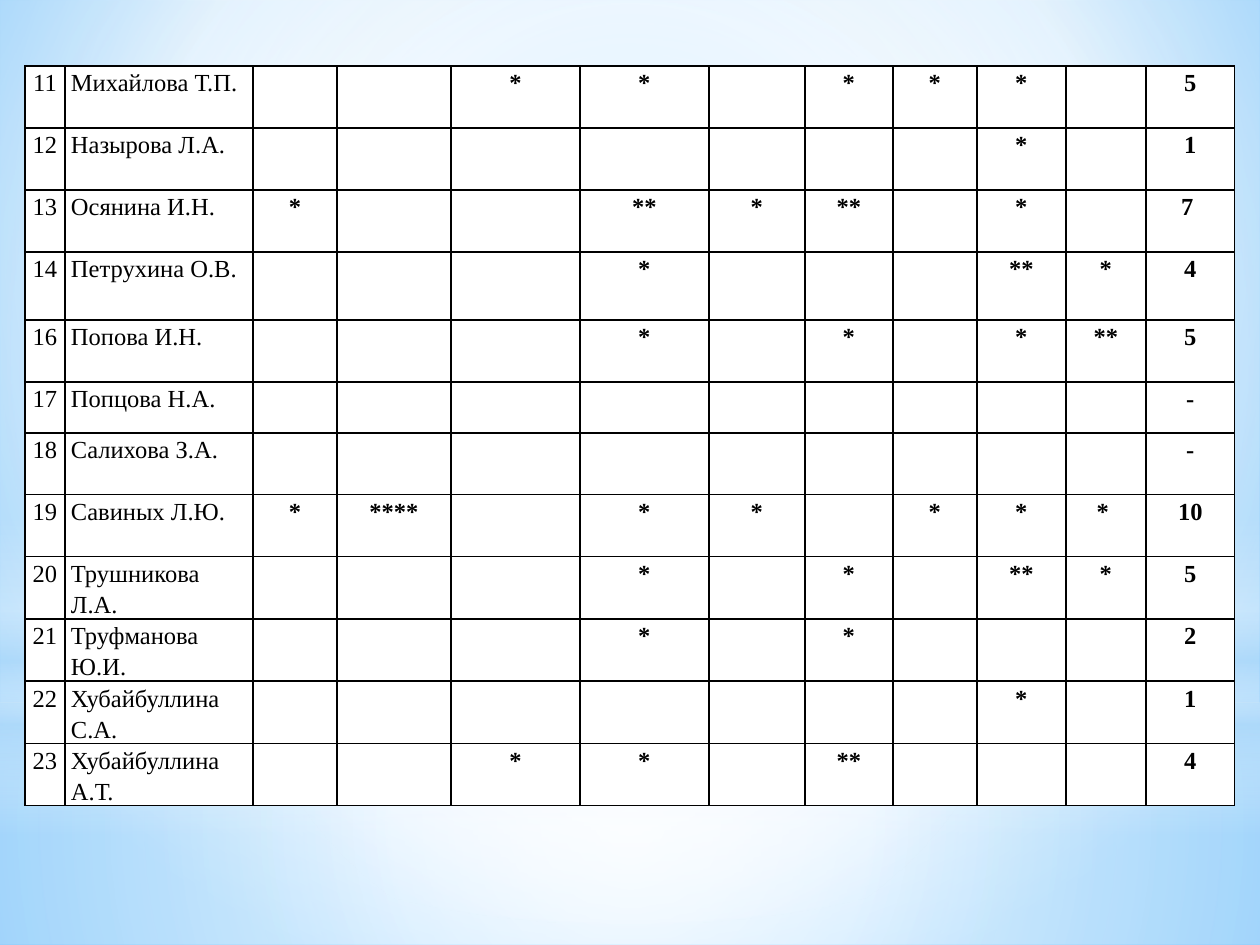
import lxml.etree
import pptx
import pptx.dml.color
import pptx.enum.shapes
import pptx.enum.text
import pptx.oxml
import pptx.oxml.ns
import pptx.util

THEME = {
    "font": "Times New Roman", "size": 14, "space": 1.15, "edge": 1,
    "ink": "000000", "paper": "FFFFFF", "sky": "B4DCFA",
    "pale": "9ED5FF", "deep": "5BB9FF",
}
PAGE = (1260, 945)

# number, name, marks by column, total
STAFF = [
    ("11", "Михайлова Т.П.", {4: "*", 5: "*", 7: "*", 8: "*", 9: "*"}, "5"),
    ("12", "Назырова Л.А.", {9: "*"}, "1"),
    ("13", "Осянина И.Н.", {2: "*", 5: "**", 6: "*", 7: "**", 9: "*"}, "7 "),
    ("14", "Петрухина О.В.", {5: "*", 9: "**", 10: "*"}, "4"),
    ("16", "Попова И.Н.", {5: "*", 7: "*", 9: "*", 10: "**"}, "5"),
    ("17", "Попцова Н.А.", {}, "-"),
    ("18", "Салихова З.А.", {}, "-"),
    ("19", "Савиных Л.Ю.",
     {2: "*", 3: "****", 5: "*", 6: "*", 8: "*", 9: "*", 10: "* "}, "10"),
    ("20", "Трушникова Л.А.", {5: "*", 7: "*", 9: "**", 10: "*"}, "5"),
    ("21", "Труфманова Ю.И.", {5: "*", 7: "*"}, "2"),
    ("22", "Хубайбуллина С.А.", {9: "*"}, "1"),
    ("23", "Хубайбуллина А.Т.", {4: "*", 5: "*", 7: "**"}, "4"),
]
LEFT, TOP = 25, 66
COLS = [40, 188, 84, 114, 129, 129, 96, 88, 84, 89, 80, 89]
ROW = 62
TALL = {3: 68, 5: 51}  # rows that differ from ROW

# gradient stops: position, colour, opacity in percent
MID = (50, 50, 50, 50)
BACK = ([(0, "pale", 100), (60, "paper", 100), (100, "deep", 100)],
        (20, 10, 20, 60))
# top, height, shape, stops, focus (None for a vertical blend)
GLOWS = [
    (703, 242, "RECTANGLE",
     [(0, "paper", 91), (37, "paper", 76), (100, "sky", 79)], MID),
    (0, 703, "RECTANGLE",
     [(0, "paper", 89), (48, "paper", 62), (100, "sky", 79)], MID),
    (519, 315, "RECTANGLE",
     [(0, "paper", 0), (29, "paper", 30), (45, "sky", 40),
      (55, "paper", 26), (65, "sky", 60), (100, "paper", 0)], None),
    (220, 703, "OVAL", [(0, "paper", 100), (56, "paper", 0)], MID),
]


def px(n):
    return round(n * 914400 / 126)


def tint(key):
    return pptx.dml.color.RGBColor.from_string(THEME[key])


def blend(owner, stops, focus):
    """Swap the solid fill inside owner for a gradient."""
    marks = "".join(
        f'<a:gs pos="{pos * 1000}"><a:srgbClr val="{THEME[key]}">'
        f'<a:alpha val="{alpha * 1000}"/></a:srgbClr></a:gs>'
        for pos, key, alpha in stops)
    if focus:
        sides = " ".join(f'{side}="{val * 1000}"'
                         for side, val in zip("ltrb", focus))
        way = f'<a:path path="circle"><a:fillToRect {sides}/></a:path>'
    else:
        way = '<a:lin ang="5400000" scaled="0"/>'
    grad = pptx.oxml.parse_xml(
        f'<a:gradFill {pptx.oxml.ns.nsdecls("a")} rotWithShape="1">'
        f'<a:gsLst>{marks}</a:gsLst>{way}</a:gradFill>')
    old = owner.xpath(".//a:solidFill")[0]
    old.getparent().replace(old, grad)


def glow(slide, top, high, kind, stops, focus):
    shape = slide.shapes.add_shape(
        pptx.enum.shapes.MSO_SHAPE[kind], 0, px(top), px(PAGE[0]), px(high))
    shape.shadow.inherit = False
    shape.line.fill.background()
    shape.fill.solid()
    blend(shape.element, stops, focus)


def rule(cell):
    """Draw the four cell borders."""
    props = cell._tc.get_or_add_tcPr()
    for side in "LRTB":
        props.append(pptx.oxml.parse_xml(
            f'<a:ln{side} {pptx.oxml.ns.nsdecls("a")} '
            f'w="{pptx.util.Pt(THEME["edge"])}"><a:solidFill>'
            f'<a:srgbClr val="{THEME["ink"]}"/></a:solidFill></a:ln{side}>'))


def write(cell, text, col):
    cell.margin_left = cell.margin_right = px(6)
    cell.margin_top = cell.margin_bottom = 0
    rule(cell)
    cell.fill.solid()
    cell.fill.fore_color.rgb = tint("paper")
    if not text:
        return
    para = cell.text_frame.paragraphs[0]
    para.line_spacing = THEME["space"]
    if col != 1:
        para.alignment = pptx.enum.text.PP_ALIGN.CENTER
    run = para.add_run()
    run.text = text
    run.font.name = THEME["font"]
    run.font.size = pptx.util.Pt(THEME["size"])
    run.font.bold = col > 1
    run.font.color.rgb = tint("ink")


def chart(slide):
    """Lay out the staff table."""
    highs = [TALL.get(i, ROW) for i in range(len(STAFF))]
    table = slide.shapes.add_table(
        len(STAFF), len(COLS), px(LEFT), px(TOP),
        px(sum(COLS)), px(sum(highs))).table
    table.first_row = table.horz_banding = False
    for col, wide in zip(table.columns, COLS):
        col.width = px(wide)
    for row, high, (num, name, marks, total) in zip(table.rows, highs, STAFF):
        row.height = px(high)
        texts = {0: num, 1: name, **marks, len(COLS) - 1: total}
        for i, cell in enumerate(row.cells):
            write(cell, texts.get(i), i)


def main():
    deck = pptx.Presentation()
    deck.slide_width, deck.slide_height = map(px, PAGE)
    slide = deck.slides.add_slide(deck.slide_layouts[6])
    slide.background.fill.solid()
    blend(slide.element.xpath(".//p:bgPr")[0], *BACK)
    for item in GLOWS:
        glow(slide, *item)
    chart(slide)
    deck.save("out.pptx")


if __name__ == "__main__":
    main()
